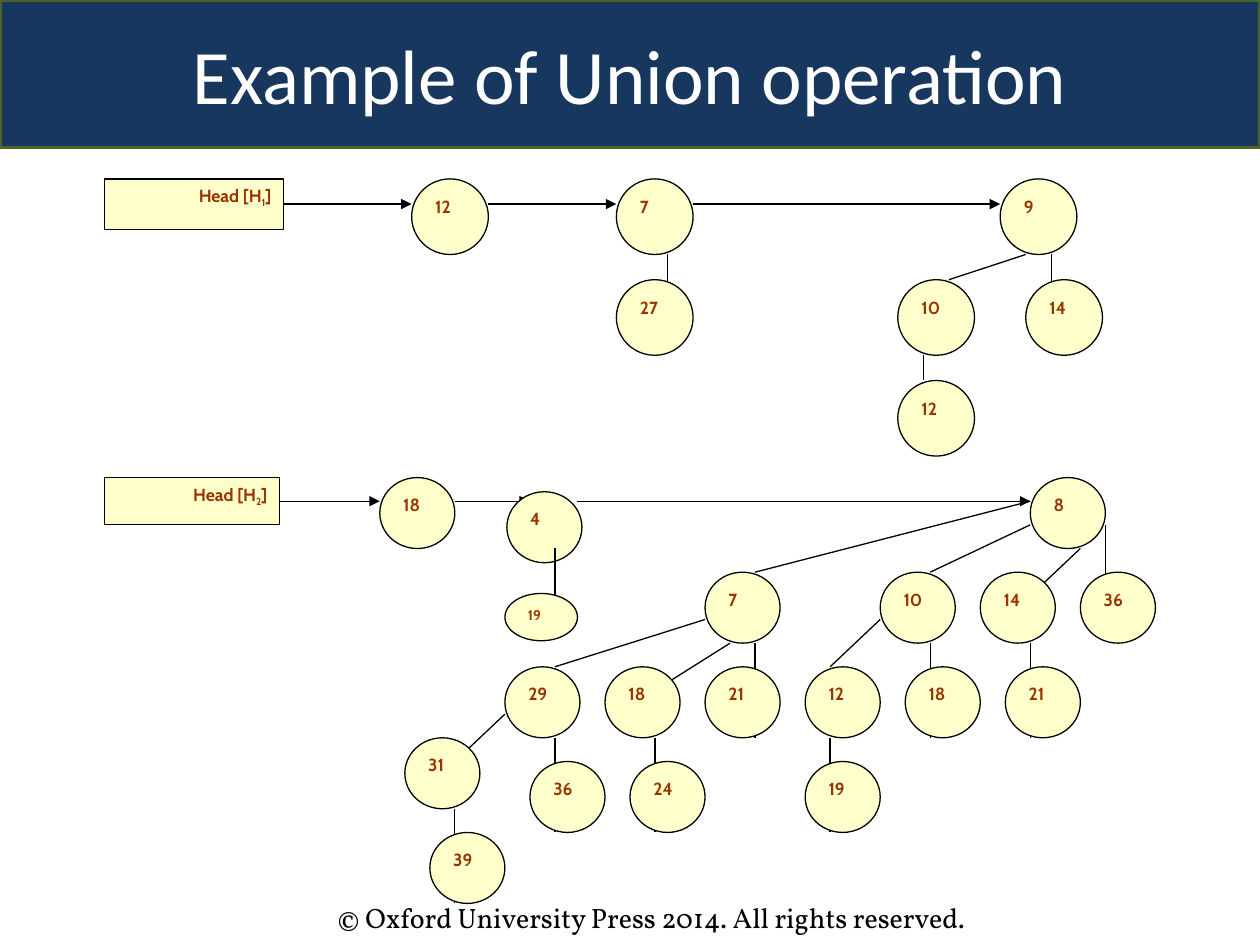
import pptx
import pptx.util
import pptx.dml.color
import pptx.enum.shapes
import pptx.enum.text
import pptx.oxml.ns
import lxml.etree

RGB = pptx.dml.color.RGBColor
NAVY = RGB(0x17, 0x37, 0x5E)
OLIVE = RGB(0x4F, 0x62, 0x28)
CREAM = RGB(0xFF, 0xFF, 0xCC)
RUST = RGB(0x99, 0x33, 0x00)
BLACK = RGB(0, 0, 0)
WHITE = RGB(255, 255, 255)

SHAPE = pptx.enum.shapes.MSO_SHAPE
ALIGN = pptx.enum.text.PP_ALIGN
ANCHOR = pptx.enum.text.MSO_ANCHOR
LABEL = {"name": "Cabin", "size": pptx.util.Pt(10), "bold": True}
SMALL = {**LABEL, "size": pptx.util.Pt(8)}
TITLE = {"name": "Calibri", "size": pptx.util.Pt(44)}
FOOT = {"name": "Vollkorn", "size": pptx.util.Pt(16)}

# Box: left, top, width, height in inches; grid: columns, rows.
# Node: text, column, row. Link: from column, row, to column, row.
HEAP_1 = {
    "box": (0.83, 1.42, 7.92, 2.2), "grid": (39, 11), "sub": "1",
    "arrows": [(7, 1, 12, 1), (15, 1, 20, 1), (23, 1, 35, 1)],
    "roots": [("12", 12, 0), ("7", 20, 0), ("9", 35, 0)],
    "edges": [(22, 3, 22, 5), (37, 3, 37, 6), (36, 3, 33, 4), (32, 7, 32, 8)],
    "nodes": [("27", 20, 4), ("14", 36, 4), ("10", 31, 4), ("12", 31, 8)],
}
HEAP_2 = {
    "box": (0.83, 3.79, 8.34, 3.38), "grid": (42, 18), "sub": "2",
    "arrows": [(7, 1, 11, 1), (14, 1, 17, 1), (18.9, 1, 37, 1)],
    "roots": [("18", 11, 0), ("4", 16.08, 0.6), ("8", 37, 0)],
    "edges": [
        (18, 3, 18, 5), (40, 2, 40, 6), (39, 3, 37, 5), (37, 2, 33, 4),
        (37, 1, 26, 4), (33, 7, 33, 11), (31, 6, 29, 8), (37, 7, 37, 11),
        (29, 11, 29, 15), (26, 7, 26, 11), (25, 7, 22, 9), (22, 11, 22, 15),
        (24, 6, 18, 8), (18, 11, 18, 15), (16, 10, 14, 12), (14, 14, 14, 18),
    ],
    "nodes": [
        ("36", 39, 4), ("14", 35, 4), ("10", 31, 4), ("7", 24, 4),
        ("18", 32, 8), ("12", 28, 8), ("21", 36, 8), ("21", 24, 8),
        ("18", 20, 8), ("29", 16, 8), ("19", 28, 12), ("24", 21, 12),
        ("36", 17, 12), ("31", 12, 11), ("39", 13, 15),
        ("19", 16, 4.9, 2.9, 2, SMALL),
    ],
}


def style(font, form, color):
    for key, value in form.items():
        setattr(font, key, value)
    font.color.rgb = color


def scale(box, grid):
    """Return a function that turns a column and row into a point."""
    left, top, width, height = box
    cols, rows = grid

    def point(col, row):
        return (pptx.util.Inches(left + col * width / cols),
                pptx.util.Inches(top + row * height / rows))
    return point


def write(para, text, form, color, sub=False):
    run = para.add_run()
    run.text = text
    style(run.font, form, color)
    if sub:
        run._r.get_or_add_rPr().set("baseline", "-25000")


def add_cell(slide, kind, point, col, row, wide, high):
    """Draw an outlined cream shape and return its first paragraph."""
    left, top = point(col, row)
    right, base = point(col + wide, row + high)
    shape = slide.shapes.add_shape(kind, left, top, right - left, base - top)
    shape.shadow.inherit = False
    shape.fill.solid()
    shape.fill.fore_color.rgb = CREAM
    shape.line.color.rgb = BLACK
    shape.line.width = pptx.util.Pt(0.75)
    shape.text_frame.vertical_anchor = ANCHOR.TOP
    para = shape.text_frame.paragraphs[0]
    para.alignment = ALIGN.LEFT
    return para


def add_node(slide, point, text, col, row, wide=3, high=3, form=LABEL):
    para = add_cell(slide, SHAPE.OVAL, point, col, row, wide, high)
    write(para, text, form, RUST)


def add_head(slide, point, sub):
    para = add_cell(slide, SHAPE.RECTANGLE, point, 0, 0, 7, 2)
    para.alignment = ALIGN.RIGHT
    for text in ("Head [H", sub, "]"):
        write(para, text, LABEL, RUST, text == sub)


def add_link(slide, point, ends, arrow=False):
    link = slide.shapes.add_connector(
        pptx.enum.shapes.MSO_CONNECTOR.STRAIGHT,
        *point(*ends[:2]), *point(*ends[2:]))
    link.line.color.rgb = BLACK
    link.line.width = pptx.util.Pt(0.75)
    qn = pptx.oxml.ns.qn
    if arrow:
        tip = lxml.etree.SubElement(link.line._get_or_add_ln(), qn("a:tailEnd"))
        tip.set("type", "triangle")
    lxml.etree.SubElement(link._element.spPr, qn("a:effectLst"))


def add_heap(slide, box, grid, sub, arrows, roots, edges, nodes):
    """Draw a root list and its trees; edges lie over roots, under nodes."""
    point = scale(box, grid)
    add_head(slide, point, sub)
    for ends in arrows:
        add_link(slide, point, ends, True)
    for root in roots:
        add_node(slide, point, *root)
    for ends in edges:
        add_link(slide, point, ends)
    for node in nodes:
        add_node(slide, point, *node)


def place(shape, box):
    for key, value in zip(("left", "top", "width", "height"), box):
        setattr(shape, key, pptx.util.Inches(value))


def add_title(slide, box, text):
    title = slide.shapes.title
    place(title, box)
    title.fill.solid()
    title.fill.fore_color.rgb = NAVY
    title.line.color.rgb = OLIVE
    title.line.width = pptx.util.Pt(2)
    title.text_frame.vertical_anchor = ANCHOR.MIDDLE
    para = title.text_frame.paragraphs[0]
    para.alignment = ALIGN.CENTER
    write(para, text, TITLE, WHITE)


def add_foot(slide, box, text):
    foot = slide.shapes.add_textbox(*map(pptx.util.Inches, box))
    foot.text_frame.word_wrap = True
    write(foot.text_frame.paragraphs[0], text, FOOT, BLACK)


def main():
    deck = pptx.Presentation()
    deck.slide_width = pptx.util.Inches(10)
    deck.slide_height = pptx.util.Inches(7.5)
    slide = deck.slides.add_slide(deck.slide_layouts.get_by_name("Title Only"))
    add_foot(slide, (2.58, 7.1, 5.92, 0.37),
             "© Oxford University Press 2014. All rights reserved.")
    add_title(slide, (0, 0, 10, 1.17), "Example of Union operation")
    for heap in (HEAP_1, HEAP_2):
        add_heap(slide, **heap)
    deck.save("out.pptx")


if __name__ == "__main__":
    main()
